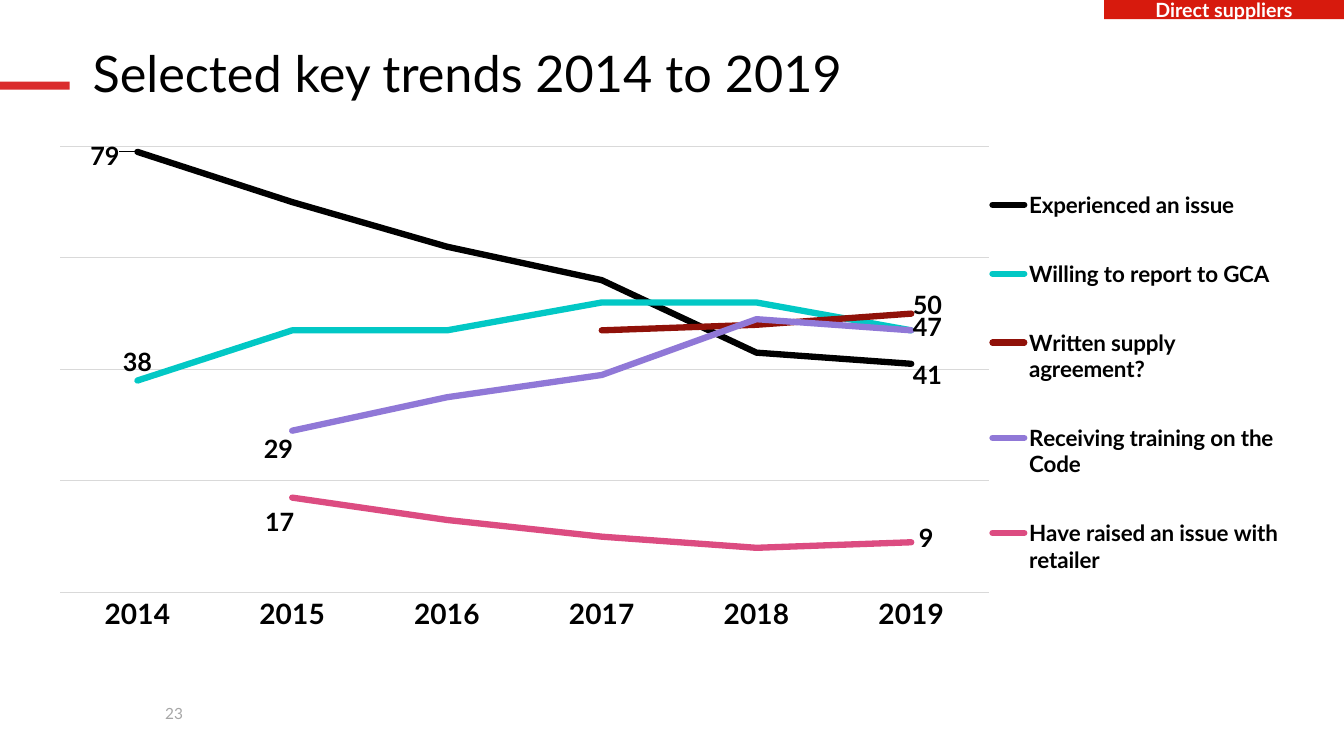
from lxml import etree
from pptx import Presentation
from pptx import util as u
from pptx.chart.data import CategoryChartData
from pptx.dml.color import RGBColor
from pptx.enum import chart as ch, shapes, text
from pptx.oxml.ns import qn

FONT = "Lato"
YEARS = ["2014", "2015", "2016", "2017", "2018", "2019"]
TRENDS = [
    ("Experienced an issue", "000000", [79, 70, 62, 56, 43, 41],
     {0: (-0.026, 0.044), 5: (0.013, 0.057)}),
    ("Willing to report to GCA", "02C8C5", [38, 47, 47, 52, 52, 47],
     {0: (0, 0)}),
    ("Written supply agreement?", "901109", [None, None, None, 47, 48, 50],
     {5: (0.013, 0.019)}),
    ("Receiving training on the Code", "9078D7", [None, 29, 35, 39, 49, 47],
     {1: (-0.011, 0.07), 5: (0.013, 0.03)}),
    ("Have raised an issue with retailer", "DC4C81", [None, 17, 13, 10, 8, 9],
     {1: (-0.01, 0.082), 5: (0.012, 0.028)}),
]


def tint(code):
    return RGBColor.from_string(code)


def style(font, size, color="000000", bold=False):
    font.name = FONT
    font.size = u.Pt(size)
    font.bold = bold
    font.color.rgb = tint(color)


def rule(line, color, width):
    line.color.rgb = tint(color)
    line.width = u.Pt(width)


def block(slide, box, color):
    bar = slide.shapes.add_shape(shapes.MSO_SHAPE.RECTANGLE, *map(u.Inches, box))
    bar.shadow.inherit = False
    bar.fill.solid()
    bar.fill.fore_color.rgb = tint(color)
    bar.line.fill.background()
    return bar


def write(shape, words, size, color, bold=False):
    frame = shape.text_frame
    frame.word_wrap = True
    frame.text = words
    style(frame.paragraphs[0].runs[0].font, size, color, bold)
    return frame


def place(parent, index, **parts):
    for old in parent.findall(qn("c:layout")):
        parent.remove(old)
    layout = etree.Element(qn("c:layout"))
    manual = etree.SubElement(layout, qn("c:manualLayout"))
    for name, value in parts.items():
        etree.SubElement(manual, qn("c:" + name)).set("val", str(value))
    parent.insert(index, layout)


def head(slide, box):
    left, top, width, height = box
    block(slide, (0, top + 0.49, left - 0.13, 0.08), "DA2C2D")
    title = slide.shapes.add_textbox(*map(u.Inches, box))
    frame = write(title, "Selected key trends 2014 to 2019", 36, "000000")
    frame.vertical_anchor = text.MSO_ANCHOR.BOTTOM
    frame.paragraphs[0].line_spacing = 0.9


def tag(slide, box):
    frame = write(block(slide, box, "D71A0D"), "Direct suppliers", 14, "FFFFFF", True)
    frame.vertical_anchor = text.MSO_ANCHOR.MIDDLE
    frame.paragraphs[0].alignment = text.PP_ALIGN.CENTER


def foot(slide, box):
    write(slide.shapes.add_textbox(*map(u.Inches, box)), "23", 11, "A6A6A6")


def trace(trend, color, labels):
    trend.smooth = False
    trend.marker.style = ch.XL_MARKER_STYLE.NONE
    rule(trend.format.line, color, 4.5)
    trend.format.line._ln.set("cap", "rnd")
    trend.data_labels.show_value = False
    for index, (x, y) in labels.items():
        label = trend.points[index].data_label
        style(label.font, 18, bold=True)
        label.position = ch.XL_LABEL_POSITION.ABOVE
        node = trend._element.xpath(f"c:dLbls/c:dLbl[c:idx/@val='{index}']")[0]
        place(node, 1, x=x, y=y)


def graph(slide, box):
    data = CategoryChartData()
    data.categories = YEARS
    for name, color, values, labels in TRENDS:
        data.add_series(name, values)
    chart = slide.shapes.add_chart(
        ch.XL_CHART_TYPE.LINE, *map(u.Inches, box), data).chart
    style(chart.font, 10)
    chart.has_title = False
    chart.plots[0].vary_by_categories = False
    for trend, (name, color, values, labels) in zip(chart.plots[0].series, TRENDS):
        trace(trend, color, labels)

    years = chart.category_axis
    years.major_tick_mark = ch.XL_TICK_MARK.NONE
    style(years.tick_labels.font, 20, bold=True)
    rule(years.format.line, "D9D9D9", 0.75)
    scale = chart.value_axis
    scale.minimum_scale, scale.maximum_scale, scale.major_unit = 0, 80, 20
    scale.has_major_gridlines = True
    rule(scale.major_gridlines.format.line, "D9D9D9", 0.75)
    scale.visible = False

    chart.has_legend = True
    chart.legend.position = ch.XL_LEGEND_POSITION.RIGHT
    chart.legend.include_in_layout = False
    style(chart.legend.font, 16, bold=True)
    place(chart.legend._element, 1, xMode="edge", yMode="edge",
          x=0.764, y=0.036, w=0.236, h=0.886)
    place(chart.element.xpath("c:chart/c:plotArea")[0], 0, layoutTarget="inner",
          xMode="edge", yMode="edge", x=0.015, y=0.031, w=0.744, h=0.848)


def main():
    deck = Presentation()
    deck.slide_width, deck.slide_height = u.Inches(13.33), u.Inches(7.5)
    slide = deck.slides.add_slide(deck.slide_layouts[6])
    head(slide, (0.82, 0.32, 12.51, 0.76))
    foot(slide, (1.54, 6.94, 0.68, 0.29))
    graph(slide, (0.41, 1.29, 12.38, 5.22))
    tag(slide, (10.95, 0, 2.38, 0.19))
    deck.save("out.pptx")


if __name__ == "__main__":
    main()
